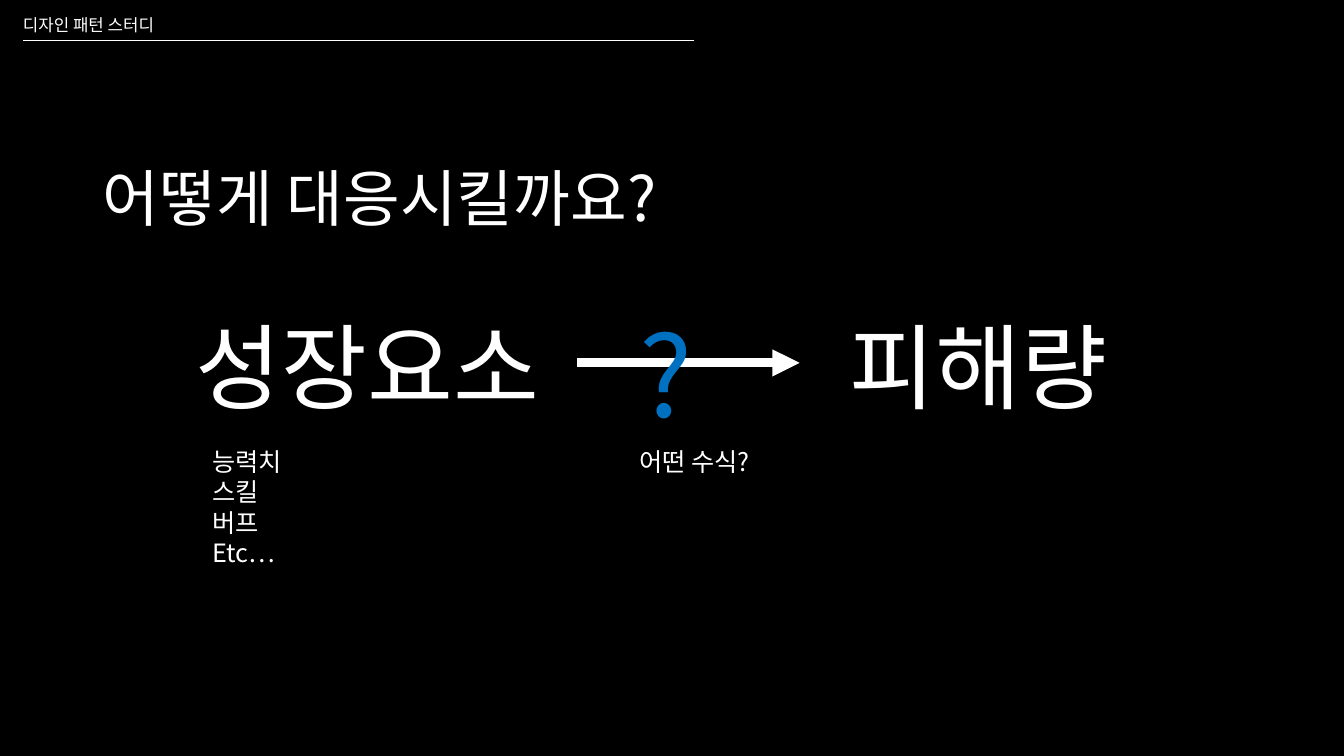
from dataclasses import dataclass

from lxml import etree
from pptx import Presentation
from pptx import util as u
from pptx.dml.color import RGBColor
from pptx.enum import shapes, text
from pptx.oxml import ns

FONT = "Noto Sans CJK KR"
BLACK = RGBColor(0x00, 0x00, 0x00)
WHITE = RGBColor(0xFF, 0xFF, 0xFF)
BLUE = RGBColor(0x00, 0x70, 0xC0)


@dataclass
class Block:
    """Text with its place in inches and its format."""
    lines: list[str]
    left: float
    top: float
    width: float
    height: float
    size: float
    color: RGBColor = WHITE


@dataclass
class Rule:
    """Horizontal line, lengths in inches and weight in points."""
    left: float
    right: float
    top: float
    weight: float
    arrow: bool = False


TITLE = Block(["어떻게 대응시킬까요?"], 0.92, 1.27, 11.5, 1.45, 44)
TERMS = [
    Block(["성장요소"], 1.84, 3.23, 3.97, 1, 66.6),
    Block(["피해량"], 8.33, 3.23, 2.82, 1, 66.6),
]
MAPPING_ARROW = Rule(5.72, 7.93, 3.6, 6.5, arrow=True)
HEADER_RULE = Rule(0.23, 6.88, 0.4, 0.5)
NOTES = [
    Block(["어떤 수식?"], 6.24, 4.38, 1.39, 0.4, 18),
    Block(["?"], 6.24, 2.98, 0.85, 1.45, 80, BLUE),
    Block(["디자인 패턴 스터디"], 0.13, 0.1, 2.43, 0.3, 12),
    Block(["능력치", "스킬", "버프", "Etc…"], 2.01, 4.38, 2.88, 1.31, 18),
]


def write(para, content: str, *, size: float, color: RGBColor,
          spacing: float = 1.0, before: float = 0) -> None:
    para.alignment = text.PP_ALIGN.LEFT
    para.line_spacing = spacing
    para.space_before = u.Pt(before)
    span = para.add_run()
    span.text = content
    span.font.name = FONT
    span.font.size = u.Pt(size)
    span.font.color.rgb = color
    east_asian = etree.SubElement(span.font._element, ns.qn("a:ea"))
    east_asian.set("typeface", FONT)


def fill_frame(frame, block: Block, *, spacing: float = 1.0,
               before: float = 0) -> None:
    frame.word_wrap = True
    for number, content in enumerate(block.lines):
        para = frame.add_paragraph() if number else frame.paragraphs[0]
        write(para, content, size=block.size, color=block.color,
              spacing=spacing, before=before)


def fill_placeholder(box, block: Block, *, spacing: float, before: float,
                     anchor: text.MSO_ANCHOR) -> None:
    box.left, box.top = u.Inches(block.left), u.Inches(block.top)
    box.width, box.height = u.Inches(block.width), u.Inches(block.height)
    frame = box.text_frame
    frame.auto_size = text.MSO_AUTO_SIZE.NONE
    frame.vertical_anchor = anchor
    fill_frame(frame, block, spacing=spacing, before=before)


def remove_bullets(box) -> None:
    for para in box.text_frame.paragraphs:
        props = para._p.get_or_add_pPr()
        props.set("marL", "0")
        props.set("indent", "0")
        etree.SubElement(props, ns.qn("a:buNone"))


def add_note(page, block: Block) -> None:
    box = page.shapes.add_textbox(u.Inches(block.left), u.Inches(block.top),
                                  u.Inches(block.width), u.Inches(block.height))
    fill_frame(box.text_frame, block)
    box.text_frame.auto_size = text.MSO_AUTO_SIZE.SHAPE_TO_FIT_TEXT


def add_rule(page, rule: Rule) -> None:
    top = u.Inches(rule.top)
    line = page.shapes.add_connector(shapes.MSO_CONNECTOR.STRAIGHT,
                                     u.Inches(rule.left), top,
                                     u.Inches(rule.right), top)
    line.line.color.rgb = WHITE
    line.line.width = u.Pt(rule.weight)
    props = line._element.spPr
    if rule.arrow:
        head = etree.SubElement(props.find(ns.qn("a:ln")), ns.qn("a:tailEnd"))
        head.set("type", "triangle")
    etree.SubElement(props, ns.qn("a:effectLst"))


def main() -> None:
    deck = Presentation()
    deck.slide_width, deck.slide_height = u.Inches(13.33), u.Inches(7.5)
    page = deck.slides.add_slide(deck.slide_layouts.get_by_name("Two Content"))
    page.background.fill.solid()
    page.background.fill.fore_color.rgb = BLACK

    # Question and the two terms to be mapped
    fill_placeholder(page.shapes.title, TITLE, spacing=0.9, before=0,
                     anchor=text.MSO_ANCHOR.MIDDLE)
    for index, term in enumerate(TERMS, start=1):
        box = page.placeholders[index]
        fill_placeholder(box, term, spacing=0.8, before=10,
                         anchor=text.MSO_ANCHOR.TOP)
        remove_bullets(box)

    # Arrow behind the notes, then the header rule
    add_rule(page, MAPPING_ARROW)
    for note in NOTES:
        add_note(page, note)
    add_rule(page, HEADER_RULE)

    deck.save("out.pptx")


if __name__ == "__main__":
    main()
